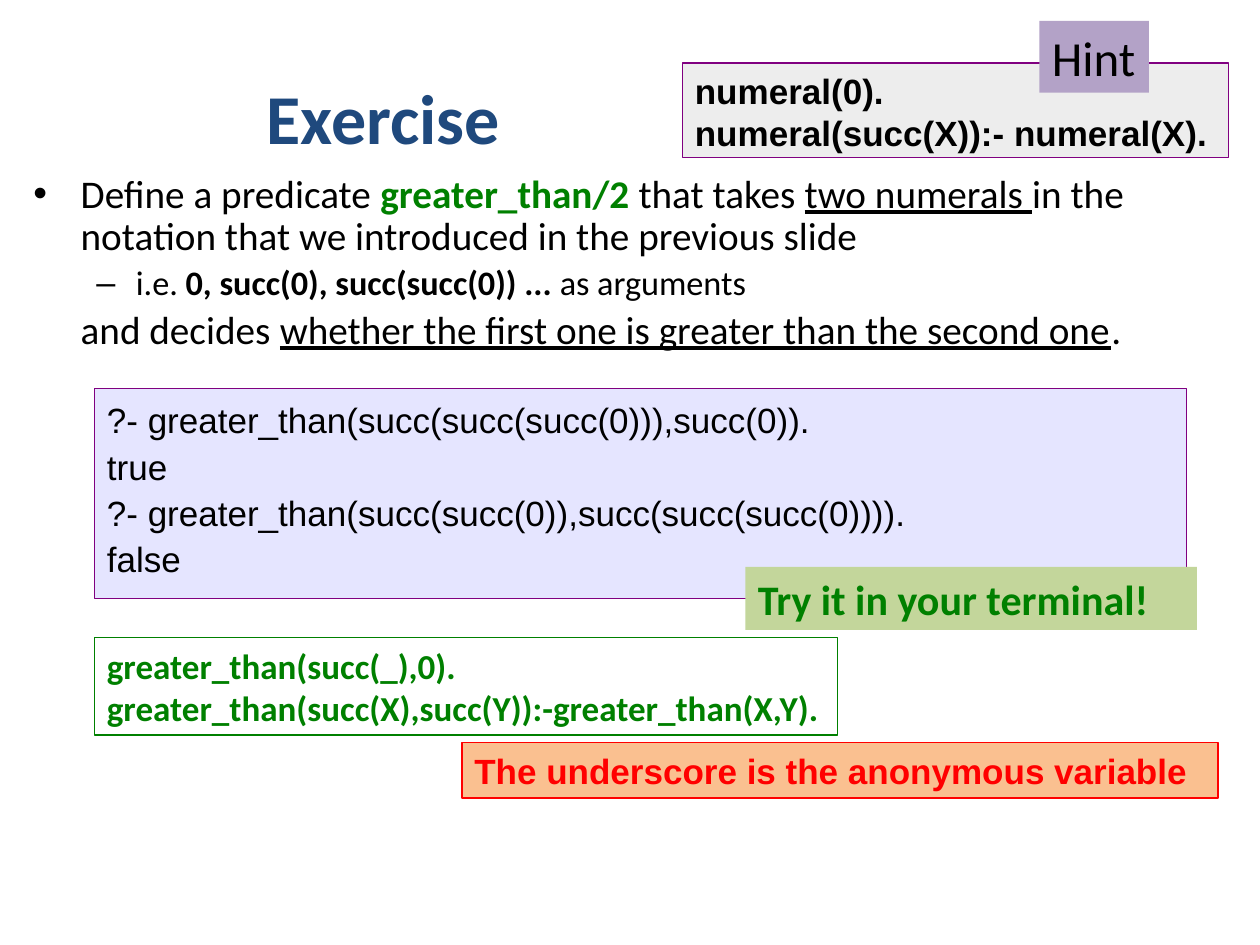
from dataclasses import dataclass

import lxml.etree
import pptx
import pptx.dml.color
import pptx.enum.shapes
import pptx.enum.text
import pptx.oxml.ns
import pptx.util

Pt = pptx.util.Pt
qualified = pptx.oxml.ns.qn
BLACK, GREEN, RED, PURPLE, NAVY = "000000", "008000", "FF0000", "800080", "1F497D"


@dataclass
class Run:
    text: str
    color: str = BLACK
    bold: bool = False
    underline: bool = False


@dataclass
class BodyParagraph:
    runs: list[Run]
    size: float
    margin: float
    hanging: float = 0
    bullet: str = ""


@dataclass
class Box:
    place: tuple[float, float, float, float]
    paragraphs: list[str]
    font: str
    size: float
    color: str = BLACK
    bold: bool = False
    fill: str = ""
    opacity: int = 100
    line: str = ""
    spacing: float = 1.0
    grow: bool = False
    wrap: bool = True


def rgb(color: str) -> pptx.dml.color.RGBColor:
    return pptx.dml.color.RGBColor.from_string(color)


def add_run(paragraph, content: Run, font: str, size: float) -> None:
    run = paragraph.add_run()
    run.text = content.text
    run.font.name = font
    run.font.size = Pt(size)
    run.font.bold = content.bold
    run.font.underline = content.underline
    run.font.color.rgb = rgb(content.color)


def add_paragraph(frame, index: int):
    return frame.add_paragraph() if index else frame.paragraphs[0]


def add_body(slide, place: tuple, paragraphs: list[BodyParagraph]) -> None:
    frame = slide.shapes.add_textbox(*map(Pt, place)).text_frame
    frame.word_wrap = True
    for index, content in enumerate(paragraphs):
        paragraph = add_paragraph(frame, index)
        paragraph.line_spacing = 0.9
        paragraph.space_before = Pt(content.size * 0.2)
        properties = paragraph._p.get_or_add_pPr()
        properties.set("marL", str(Pt(content.margin)))
        properties.set("indent", str(Pt(-content.hanging)))
        if content.bullet:
            font = lxml.etree.SubElement(properties, qualified("a:buFont"))
            font.set("typeface", "Arial")
            bullet = lxml.etree.SubElement(properties, qualified("a:buChar"))
            bullet.set("char", content.bullet)
        for run in content.runs:
            add_run(paragraph, run, "Calibri", content.size)


def add_box(slide, box: Box) -> None:
    shape = slide.shapes.add_shape(
        pptx.enum.shapes.MSO_SHAPE.RECTANGLE, *map(Pt, box.place))
    shape.shadow.inherit = False
    if box.fill:
        shape.fill.solid()
        shape.fill.fore_color.rgb = rgb(box.fill)
        if box.opacity < 100:
            color = shape.fill._xPr.find(".//" + qualified("a:srgbClr"))
            alpha = lxml.etree.SubElement(color, qualified("a:alpha"))
            alpha.set("val", str(box.opacity * 1000))
    else:
        shape.fill.background()
    if box.line:
        shape.line.color.rgb = rgb(box.line)
        shape.line.width = Pt(0.75)
    else:
        shape.line.fill.background()

    frame = shape.text_frame
    frame.word_wrap = box.wrap
    frame.vertical_anchor = pptx.enum.text.MSO_ANCHOR.TOP
    if box.grow:
        frame.auto_size = pptx.enum.text.MSO_AUTO_SIZE.SHAPE_TO_FIT_TEXT
    for index, text in enumerate(box.paragraphs):
        paragraph = add_paragraph(frame, index)
        paragraph.alignment = pptx.enum.text.PP_ALIGN.LEFT
        paragraph.line_spacing = box.spacing
        for number, line in enumerate(text.split("\n")):
            if number:
                paragraph.add_line_break()
            add_run(paragraph, Run(line, box.color, box.bold), box.font, box.size)


BODY = [
    BodyParagraph([
        Run("Define a predicate "),
        Run("greater_than/2 ", GREEN, bold=True),
        Run("that takes "),
        Run("two numerals ", underline=True),
        Run("in the notation that we introduced in the previous slide"),
    ], 22.4, 27, 27, "•"),
    BodyParagraph([
        Run("i.e. "),
        Run("0, succ(0), succ(succ(0)) ... ", bold=True),
        Run("as arguments"),
    ], 19.6, 58.5, 22.5, "–"),
    BodyParagraph([
        Run("and decides "),
        Run("whether the first one is greater than the second one", underline=True),
        Run("."),
    ], 22.4, 27),
]

BOXES = [
    # Example queries
    Box((54, 222, 624, 120),
        ["?- greater_than(succ(succ(succ(0))),succ(0)).\ntrue\n"
         "?- greater_than(succ(succ(0)),succ(succ(succ(0)))).\nfalse"],
        "Arial", 20, fill="CCCCFF", opacity=50, line=PURPLE, spacing=1.1),
    # Solution
    Box((54, 364.5, 424.8, 55.5),
        ["greater_than(succ(_),0).",
         "greater_than(succ(X),succ(Y)):-greater_than(X,Y)."],
        "Calibri", 20, GREEN, bold=True, line=GREEN, grow=True, wrap=False),
    # Hint with its label, and the remarks
    Box((390, 36, 312, 54), ["numeral(0).", "numeral(succ(X)):- numeral(X)."],
        "Arial", 20, bold=True, fill="DDDDDD", opacity=50, line=PURPLE),
    Box((426, 324, 258, 36), ["Try it in your terminal!"],
        "Calibri", 24, GREEN, bold=True, fill="C3D69B", grow=True),
    Box((594, 12, 62.6, 41), ["Hint"],
        "Calibri", 28, fill="B3A2C7", grow=True, wrap=False),
    Box((264, 424.5, 432, 31.5), ["The underscore is the anonymous variable"],
        "Arial", 20, RED, bold=True, fill="FAC090", line=RED, grow=True),
]


def main() -> None:
    presentation = pptx.Presentation()
    presentation.slide_width, presentation.slide_height = Pt(720), Pt(540)
    slide = presentation.slides.add_slide(presentation.slide_layouts[5])

    # Title
    title = slide.shapes.title
    title.left, title.top, title.width, title.height = map(Pt, (36, 21.6, 366, 90))
    title.text_frame.vertical_anchor = pptx.enum.text.MSO_ANCHOR.MIDDLE
    heading = title.text_frame.paragraphs[0]
    heading.alignment = pptx.enum.text.PP_ALIGN.CENTER
    add_run(heading, Run("Exercise", NAVY, bold=True), "Calibri", 40)

    # Task and boxes
    add_body(slide, (12, 96, 702, 150), BODY)
    for box in BOXES:
        add_box(slide, box)
    presentation.save("out.pptx")


if __name__ == "__main__":
    main()
